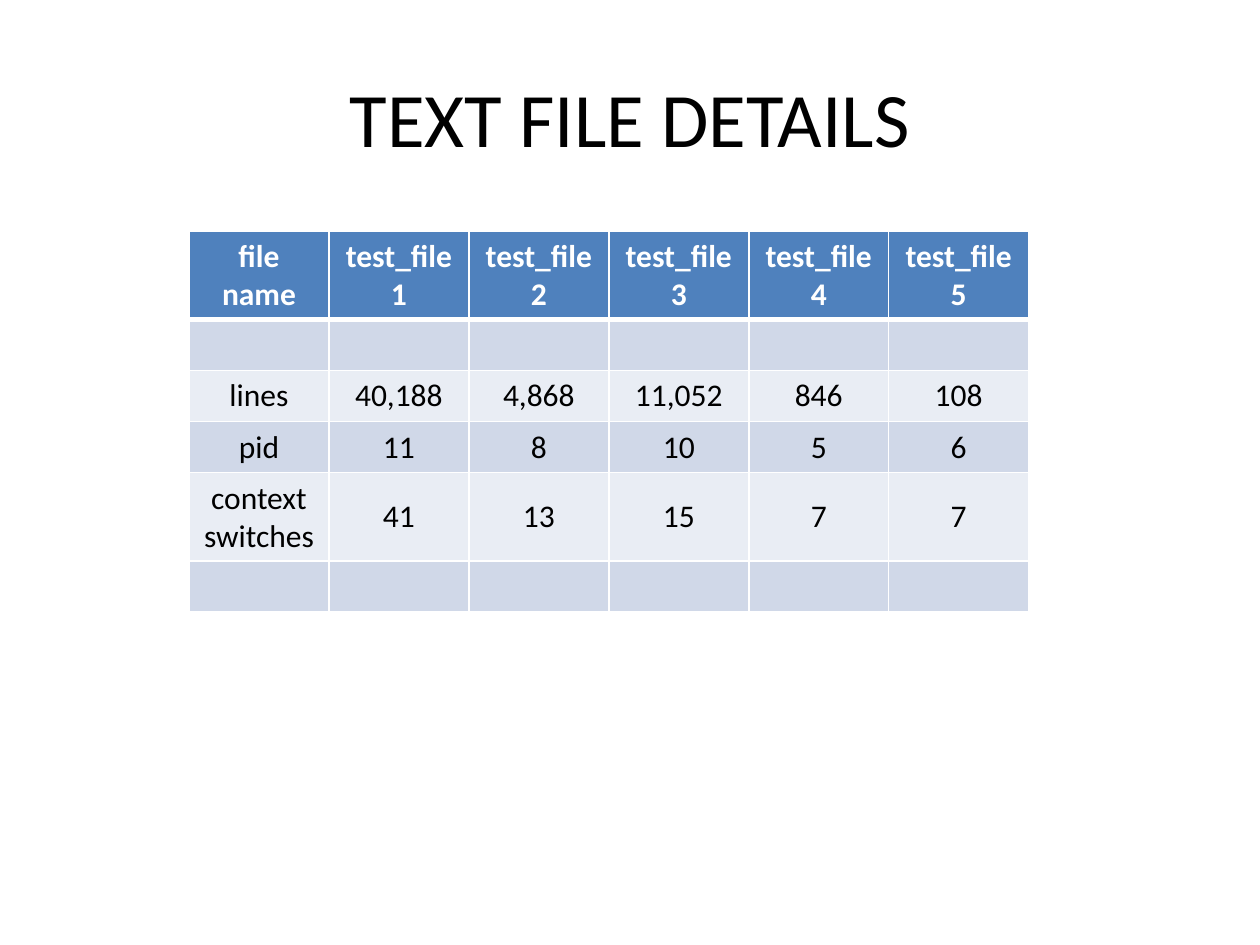
from lxml import etree
from pptx import Presentation
from pptx import util as u
from pptx.dml.color import RGBColor
from pptx.enum import text
from pptx.oxml import ns

BLACK = RGBColor(0x00, 0x00, 0x00)
WHITE = RGBColor(0xFF, 0xFF, 0xFF)
HEADER_BLUE = RGBColor(0x4F, 0x81, 0xBD)
DARK_BAND = RGBColor(0xD0, 0xD8, 0xE8)
LIGHT_BAND = RGBColor(0xE9, 0xED, 0xF4)

FONT = "Calibri"
COLUMNS = 6
TALL, SHORT = u.Cm(1.78), u.Cm(1.03)
FILE_DETAILS = [
    (TALL, ["file name"] + [f"test_file{number}" for number in range(1, COLUMNS)]),
    (SHORT, [""] * COLUMNS),
    (SHORT, ["lines", "40,188", "4,868", "11,052", "846", "108"]),
    (SHORT, ["pid", "11", "8", "10", "5", "6"]),
    (TALL, ["context\nswitches", "41", "13", "15", "7", "7"]),
    (SHORT, [""] * COLUMNS),
]


def write_lines(frame, wording, size, color, bold=False):
    """Write each line of the wording as a centred paragraph."""
    for index, line in enumerate(wording.split("\n")):
        para = frame.add_paragraph() if index else frame.paragraphs[0]
        para.alignment = text.PP_ALIGN.CENTER
        span = para.add_run()
        span.text = line
        span.font.name = FONT
        span.font.size = u.Pt(size)
        span.font.bold = bold
        span.font.color.rgb = color


def add_border(cell, side, width):
    """Draw a white line on one side of a cell."""
    properties = cell._tc.get_or_add_tcPr()
    line = etree.SubElement(properties, ns.qn(f"a:{side}"), w=str(u.Pt(width)))
    fill = etree.SubElement(line, ns.qn("a:solidFill"))
    etree.SubElement(fill, ns.qn("a:srgbClr"), val=str(WHITE))


def add_title(page, left, top, width, height):
    """Place the slide heading in the given box."""
    box = page.shapes.add_textbox(left, top, width, height)
    frame = box.text_frame
    frame.word_wrap = True
    frame.vertical_anchor = text.MSO_ANCHOR.MIDDLE
    write_lines(frame, "TEXT FILE DETAILS", 44, BLACK)


def fill_cell(cell, wording, row_index):
    """Style a cell according to its row and write its wording."""
    is_header = row_index == 0
    above = 3 if row_index == 1 else 1
    below = 3 if is_header else 1
    for side, width in (("lnL", 1), ("lnR", 1), ("lnT", above), ("lnB", below)):
        add_border(cell, side, width)
    band = DARK_BAND if row_index % 2 else LIGHT_BAND
    cell.fill.solid()
    cell.fill.fore_color.rgb = HEADER_BLUE if is_header else band
    cell.vertical_anchor = text.MSO_ANCHOR.MIDDLE
    if wording:
        write_lines(cell.text_frame, wording, 18, WHITE if is_header else BLACK, is_header)


def add_details_table(page, left, top, width):
    """Place the file details in equal columns across the given width."""
    height = sum(row_height for row_height, _ in FILE_DETAILS)
    table = page.shapes.add_table(
        len(FILE_DETAILS), COLUMNS, left, top, width, height
    ).table
    for row_index, (row_height, wordings) in enumerate(FILE_DETAILS):
        table.rows[row_index].height = row_height
        for column_index, wording in enumerate(wordings):
            fill_cell(table.cell(row_index, column_index), wording, row_index)


def main():
    """Build the deck and save it."""
    deck = Presentation()
    deck.slide_width, deck.slide_height = u.Cm(25.4), u.Cm(19.05)
    page = deck.slides.add_slide(deck.slide_layouts[6])
    add_title(page, u.Cm(1.27), u.Cm(0.76), u.Cm(22.86), u.Cm(3.18))
    add_details_table(page, u.Cm(3.81), u.Cm(4.66), u.Cm(16.93))
    deck.save("out.pptx")


if __name__ == "__main__":
    main()
